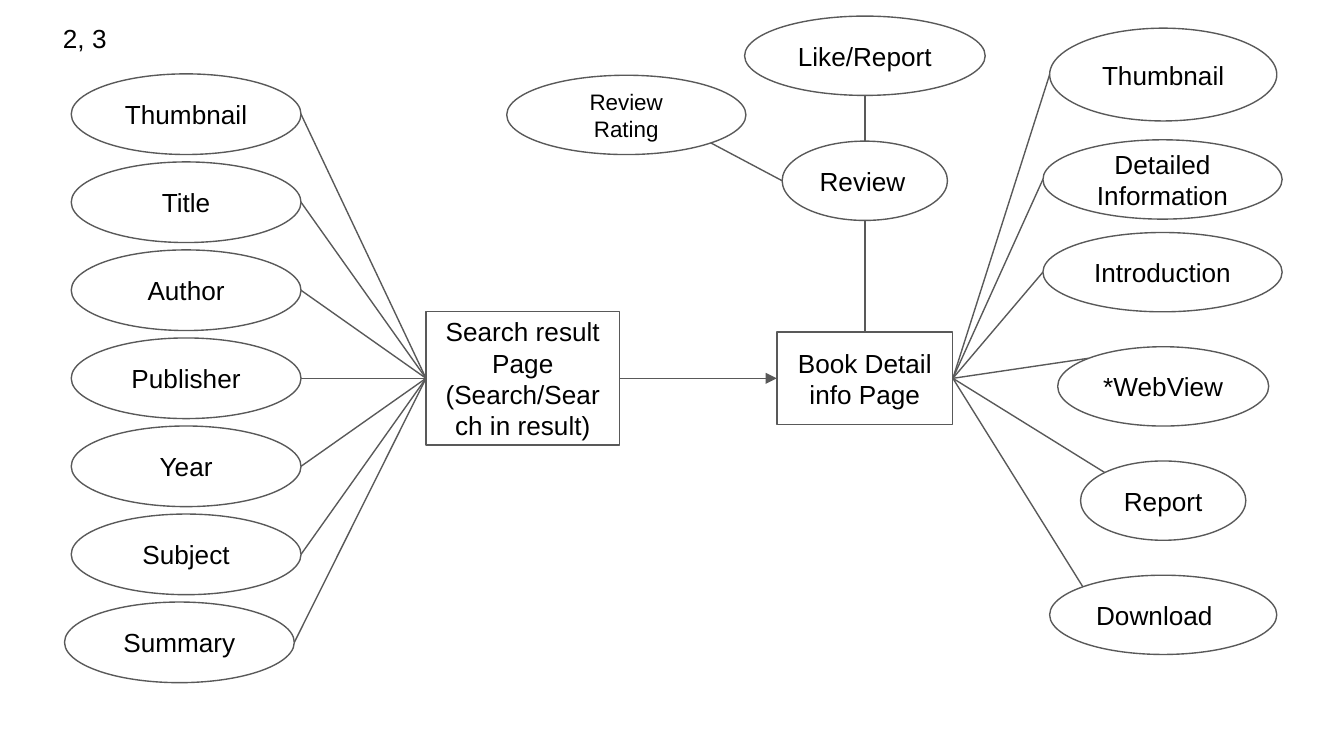
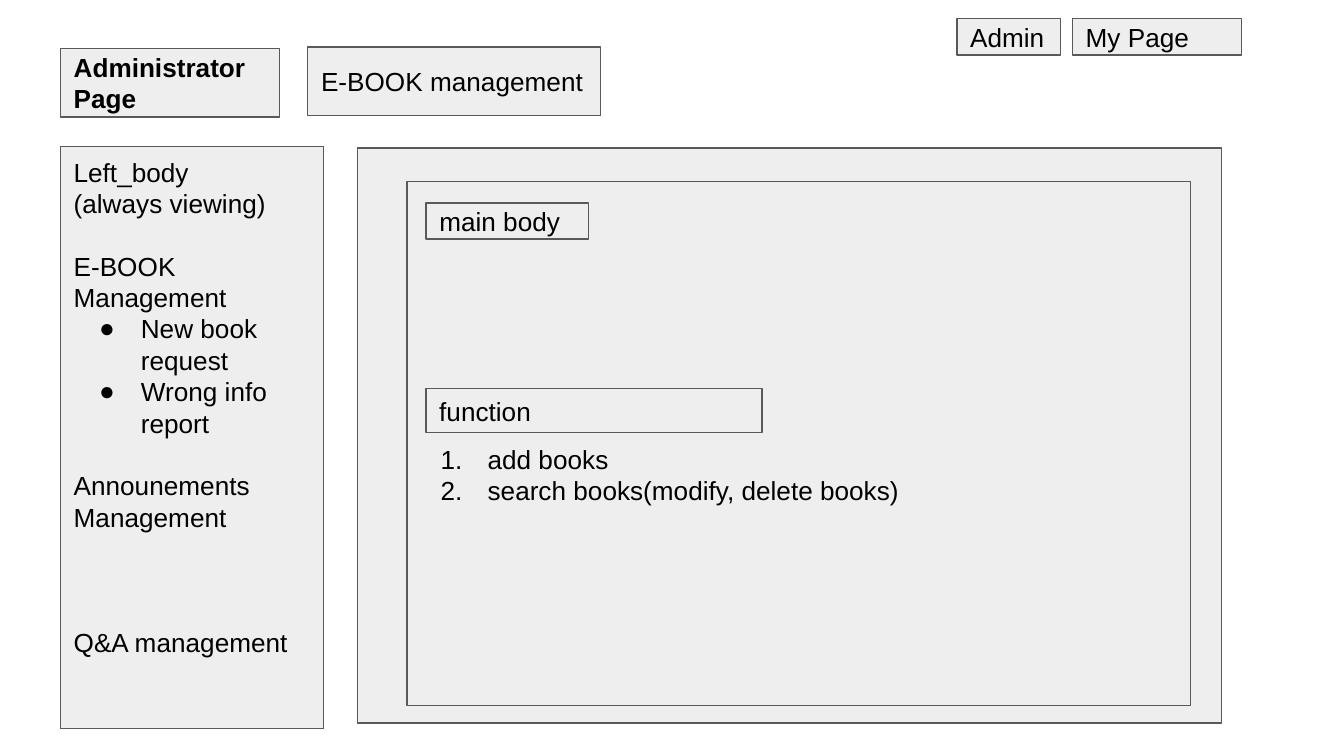
from pptx import Presentation
from pptx.dml.color import RGBColor
from pptx.enum.shapes import MSO_CONNECTOR as Conn, MSO_SHAPE as Kind
from pptx.enum.text import MSO_ANCHOR as Anchor, PP_ALIGN as Align
from pptx.oxml.ns import qn
from pptx.util import Inches, Pt
from lxml.etree import SubElement

WHITE = RGBColor(0xFF, 0xFF, 0xFF)
PALE = RGBColor(0xEE, 0xEE, 0xEE)
GREY = RGBColor(0x59, 0x59, 0x59)
BLACK = RGBColor(0, 0, 0)
FONT = "Arial"
ROW = 16.85

TOP, LEFT, BASE, RIGHT = (0.5, 0), (0, 0.5), (0.5, 1), (1, 0.5)
NEAR, FAR = (0.146, 0.146), (0.854, 0.854)

FIELDS = ["Thumbnail", "Title", "Author", "Publisher", "Year", "Subject", "Summary"]
FIELD_TOP, FIELD_STEP = 0.55, 0.655
SEARCH = (3.17, 2.32, 1.44, 0.99)
BOOK = (5.78, 2.47, 1.31, 0.69)
PARTS = [
    ("Thumbnail", (7.81, 0.21, 1.69, 0.69), LEFT, Align.CENTER),
    ("Detailed\nInformation", (7.76, 1.04, 1.78, 0.59), LEFT, Align.CENTER),
    ("Introduction", (7.76, 1.73, 1.78, 0.59), LEFT, Align.CENTER),
    ("*WebView", (7.87, 2.58, 1.57, 0.59), NEAR, Align.CENTER),
    ("Report", (8.04, 3.43, 1.23, 0.59), NEAR, Align.CENTER),
    ("Download", (7.81, 4.28, 1.69, 0.59), NEAR, Align.LEFT),
]
LIKE = (5.54, 0.12, 1.79, 0.59)
REVIEW = (5.82, 1.05, 1.23, 0.59)
RATING = (3.77, 0.56, 1.78, 0.59)

MENU = [
    ("Left_body", 0, None),
    ("(always viewing)", 0, None),
    ("E-BOOK Management", 1, None),
    ("New book request", 0, "dot"),
    ("Wrong info report", 0, "dot"),
    ("Announements Management", 1, None),
    ("Q&A management", 3, None),
]
TASKS = [
    ("add books", 0, "num"),
    ("search books(modify, delete books)", 0, "num"),
]
MARKS = {
    "dot": (0.31, "a:buChar", {"char": "●"}),
    "num": (0.35, "a:buAutoNum", {"type": "arabicPeriod"}),
}
PANELS = [
    ("Admin", (7.12, 0.14, 0.77, 0.27), {}),
    ("My Page", (7.98, 0.14, 1.26, 0.27), {}),
    (MENU, (0.45, 1.09, 1.96, 4.33), {"anchor": Anchor.TOP, "inset": 0.07}),
    ("", (2.66, 1.1, 6.43, 4.28), {}),
    ("E-BOOK management", (2.29, 0.35, 2.18, 0.51), {}),
    (TASKS, (3.03, 1.35, 5.83, 3.9), {"anchor": Anchor.TOP, "inset": 1.95}),
    ("main body", (3.17, 1.51, 1.21, 0.27), {}),
    ("function", (3.17, 2.89, 2.5, 0.33), {}),
    ("Administrator Page", (0.45, 0.36, 1.63, 0.51), {"bold": True}),
]


def write(shape, text, size=14, bold=False, align=Align.LEFT,
          anchor=Anchor.MIDDLE, inset=0.1):
    frame = shape.text_frame
    frame.word_wrap = True
    frame.vertical_anchor = anchor
    frame.margin_left = frame.margin_right = frame.margin_bottom = Inches(0.1)
    frame.margin_top = Inches(inset)
    rows = text
    if isinstance(text, str):
        rows = [(line, 0, None) for line in text.split("\n")]
    for i, (line, gap, mark) in enumerate(rows):
        para = frame.paragraphs[0] if i == 0 else frame.add_paragraph()
        para.alignment = align
        if gap:
            para.space_before = Pt(gap * ROW)
        if mark:
            hang, tag, attrs = MARKS[mark]
            props = para._p.get_or_add_pPr()
            props.set("marL", str(Inches(0.5)))
            props.set("indent", str(-Inches(hang)))
            SubElement(props, qn("a:buFont"), typeface=FONT)
            SubElement(props, qn(tag), attrs)
        run = para.add_run()
        run.text = line
        run.font.name = FONT
        run.font.size = Pt(size)
        run.font.bold = bold
        run.font.color.rgb = BLACK


def draw(slide, kind, text, box, fill=WHITE, **form):
    shape = slide.shapes.add_shape(kind, *map(Inches, box))
    shape.shadow.inherit = False
    shape.fill.solid()
    shape.fill.fore_color.rgb = fill
    shape.line.color.rgb = GREY
    shape.line.width = Pt(0.75)
    if text:
        write(shape, text, **form)


def spot(box, site):
    x, y, w, h = box
    return Inches(x + w * site[0]), Inches(y + h * site[1])


def link(slide, start, end, arrow=False):
    line = slide.shapes.add_connector(Conn.STRAIGHT, *spot(*start), *spot(*end))
    line.line.color.rgb = GREY
    line.line.width = Pt(0.75)
    if arrow:
        SubElement(line.line._get_or_add_ln(), qn("a:tailEnd"), type="triangle")
    SubElement(line._element.spPr, qn("a:effectLst"))


def build_map(slide):
    note = slide.shapes.add_textbox(*map(Inches, (0.37, 0.12, 0.68, 0.15)))
    write(note, "2, 3", anchor=Anchor.TOP, inset=0.12)
    mid = {"align": Align.CENTER}
    draw(slide, Kind.RECTANGLE, "Search result\nPage (Search/Search in result)", SEARCH, **mid)
    draw(slide, Kind.RECTANGLE, "Book Detail\ninfo Page", BOOK, **mid)
    for i, name in enumerate(FIELDS):
        x = 0.48 if name == "Summary" else 0.53
        box = (x, FIELD_TOP + i * FIELD_STEP, 1.71, 0.6)
        draw(slide, Kind.OVAL, name, box, **mid)
        link(slide, (box, RIGHT), (SEARCH, LEFT))
    for name, box, site, align in PARTS:
        draw(slide, Kind.OVAL, name, box, align=align)
        link(slide, (BOOK, RIGHT), (box, site))
    draw(slide, Kind.OVAL, "Like/Report", LIKE, **mid)
    draw(slide, Kind.OVAL, "Review", REVIEW)
    draw(slide, Kind.OVAL, "Review Rating", RATING, size=12, **mid)
    link(slide, (BOOK, TOP), (REVIEW, BASE))
    link(slide, (REVIEW, TOP), (LIKE, BASE))
    link(slide, (RATING, FAR), (REVIEW, LEFT))
    link(slide, (SEARCH, RIGHT), (BOOK, LEFT), arrow=True)


def build_admin(slide):
    for text, box, form in PANELS:
        draw(slide, Kind.RECTANGLE, text, box, PALE, **form)


deck = Presentation()
deck.slide_width = Inches(10)
deck.slide_height = deck.slide_width * 9 // 16
for build in (build_map, build_admin):
    build(deck.slides.add_slide(deck.slide_layouts[6]))
deck.save("out.pptx")
